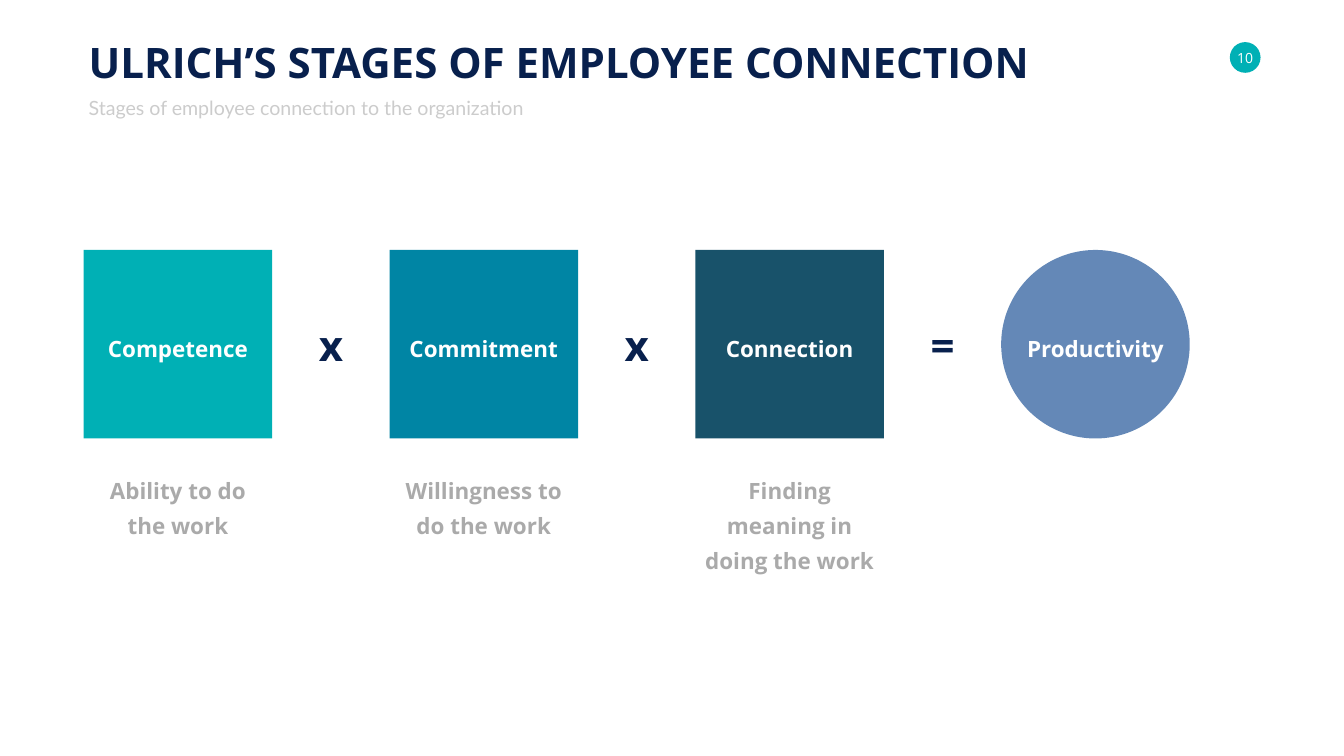
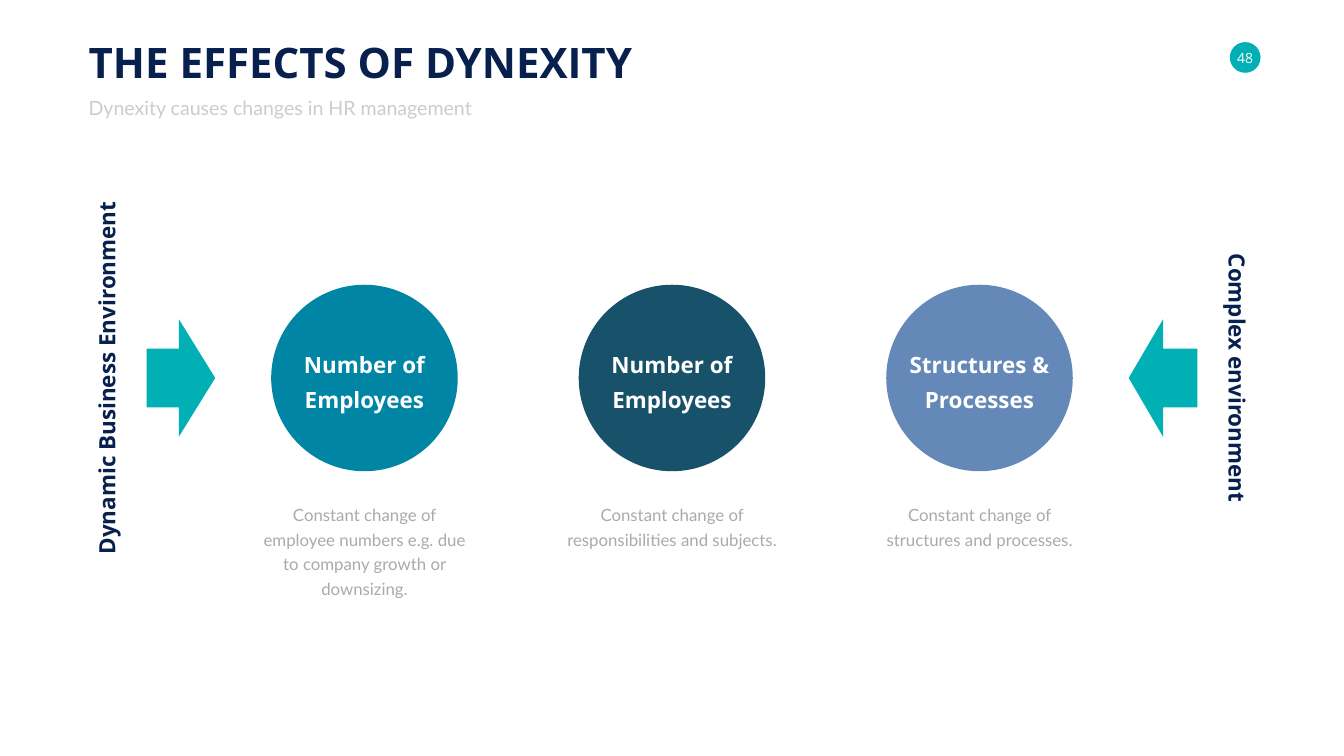
from collections import namedtuple
from pptx import Presentation
from pptx.dml.color import RGBColor
from pptx.enum.shapes import MSO_SHAPE
from pptx.enum.text import MSO_ANCHOR, MSO_AUTO_SIZE, PP_ALIGN
from pptx.util import Inches, Pt

WIDE, HIGH = 26.66, 15
EDGE = 1.66
TEAL = RGBColor(0x00, 0xB0, 0xB5)
BLUE = RGBColor(0x00, 0x85, 0xA4)
DEEP = RGBColor(0x18, 0x52, 0x6A)
STEEL = RGBColor(0x64, 0x88, 0xB7)
NAVY = RGBColor(0x08, 0x20, 0x4D)
WHITE = RGBColor(0xFF, 0xFF, 0xFF)
PALE = RGBColor(0xCC, 0xCC, 0xCC)
GREY = RGBColor(0xAA, 0xAA, 0xAA)

Style = namedtuple("Style", "face size color bold lead after", defaults=(False, None, None))
TITLE = Style("Open Sans", 60, NAVY, True)
SUB = Style("Lato", 28, PALE, False, 35)
PAGE = Style("Open Sans", 20, WHITE)
LABEL = Style("Open Sans", 32, WHITE, True, 50)
SIDE = LABEL._replace(color=NAVY)
CLAIM = LABEL._replace(color=GREY, after=12)
NOTE = Style("Lato", 24, GREY, False, 35, 6)

FACTORS = [
    ("Competence", 3.01, TEAL, "Ability to do the work", 1.44),
    ("Commitment", 3.17, BLUE, "Willingness to do the work", 1.44),
    ("Connection", 2.76, DEEP, "Finding meaning in doing the work", 2.15),
    ("Productivity", 2.94, STEEL, None, 0),
]
EFFECTS = [
    ("Number of\nEmployees", 2.62, BLUE,
     "Constant change of employee numbers e.g. due to company growth or downsizing.", 2.01),
    ("Number of\nEmployees", 2.62, DEEP,
     "Constant change of responsibilities and subjects.", 1.03),
    ("Structures &\nProcesses", 3, STEEL,
     "Constant change of structures and processes.", 1.03),
]


def area(mid, row, wide, high):
    """Return the box centred on a point, in slide units."""
    return [Inches(n) for n in (mid - wide / 2, row - high / 2, wide, high)]


def draw(slide, kind, mid, row, wide, high, color):
    """Draw a plain filled shape centred on a point."""
    shape = slide.shapes.add_shape(kind, *area(mid, row, wide, high))
    shape.shadow.inherit = False
    shape.fill.solid()
    shape.fill.fore_color.rgb = color
    shape.line.fill.background()
    return shape


def write(slide, words, style, mid, row, wide, high,
          align=PP_ALIGN.CENTER, anchor=MSO_ANCHOR.MIDDLE, wrap=False):
    """Write text in a box centred on a point."""
    box = slide.shapes.add_textbox(*area(mid, row, wide, high))
    frame = box.text_frame
    frame.word_wrap = wrap
    frame.auto_size = MSO_AUTO_SIZE.SHAPE_TO_FIT_TEXT
    frame.vertical_anchor = anchor
    frame.text = words
    for para in frame.paragraphs:
        para.alignment = align
        if style.lead:
            para.line_spacing = Pt(style.lead)
        if style.after:
            para.space_after = Pt(style.after)
        para.font.name = style.face
        para.font.size = Pt(style.size)
        para.font.bold = style.bold
        para.font.color.rgb = style.color
    return box


def head(slide, words, style, top, wide, high):
    """Write a heading line from the left edge."""
    write(slide, words, style, EDGE + wide / 2, top + high / 2, wide, high,
          PP_ALIGN.LEFT, MSO_ANCHOR.TOP)


def note(slide, words, style, mid, top, wide, high):
    """Write wrapped text below a shape."""
    write(slide, words, style, mid, top + high / 2, wide, high,
          anchor=MSO_ANCHOR.TOP, wrap=True)


def start(deck, page, title, long, sub, short):
    """Add a slide with its page badge and headings."""
    slide = deck.slides.add_slide(deck.slide_layouts[6])
    draw(slide, MSO_SHAPE.OVAL, 24.7, 1.14, 0.61, 0.61, TEAL)
    frame = write(slide, page, PAGE, 24.7, 1.14, 0.35, 0.34).text_frame
    frame.margin_left = frame.margin_right = 0
    frame.margin_top = frame.margin_bottom = 0
    head(slide, title, TITLE, 0.67, long, 1.11)
    head(slide, sub, SUB, 1.84, short, 0.55)
    return slide


def stages(deck):
    """Build the formula of three factors and their product."""
    slide = start(deck, "10", "ULRICH’S STAGES OF EMPLOYEE CONNECTION", 19.05,
                  "Stages of employee connection to the organization", 8.95)
    side, step, row = 3.74, 18.2 / 3, 6.83
    mids = [EDGE + side / 2 + step * i for i in range(len(FACTORS))]
    for mid, (name, wide, color, claim, high) in zip(mids, FACTORS):
        kind = MSO_SHAPE.RECTANGLE if claim else MSO_SHAPE.OVAL
        draw(slide, kind, mid, row, side, side, color)
        write(slide, name, LABEL, mid, row, wide, 0.74)
        if claim:
            note(slide, claim, CLAIM, mid, 9.26, side, high)
    for mid, sign in zip(mids, "xx="):
        write(slide, sign, TITLE, mid + step / 2, row, 0.69, 1.11)


def effects(deck):
    """Build the three effects pressed from both sides."""
    slide = start(deck, "48", "THE EFFECTS OF DYNEXITY", 11.09,
                  "Dynexity causes changes in HR management", 7.9)
    side, step, row = 3.7, 6.1, HIGH / 2
    for i, (name, wide, color, words, high) in enumerate(EFFECTS):
        mid = WIDE / 2 + step * (i - 1)
        draw(slide, MSO_SHAPE.OVAL, mid, row, side, side, color)
        write(slide, name, LABEL, mid, row, wide, 1.44)
        note(slide, words, NOTE, mid, 9.88, 4.42, high)
    forces = [
        (MSO_SHAPE.RIGHT_ARROW, -1, 0.53, "Dynamic Business Environment", 11.3, 7.26),
        (MSO_SHAPE.LEFT_ARROW, 1, 0.5, "Complex environment", 11.3, 5.17),
    ]
    for kind, sign, tip, words, far, long in forces:
        arrow = draw(slide, kind, WIDE / 2 + sign * 9.74, row, 1.36, 2.33, TEAL)
        arrow.adjustments[1] = tip
        box = write(slide, words, SIDE, WIDE / 2 + sign * far, row, long, 0.74)
        box.rotation = sign * 90 % 360


def main():
    """Build and save the deck."""
    deck = Presentation()
    deck.slide_width, deck.slide_height = Inches(WIDE), Inches(HIGH)
    stages(deck)
    effects(deck)
    deck.save("out.pptx")


if __name__ == "__main__":
    main()
